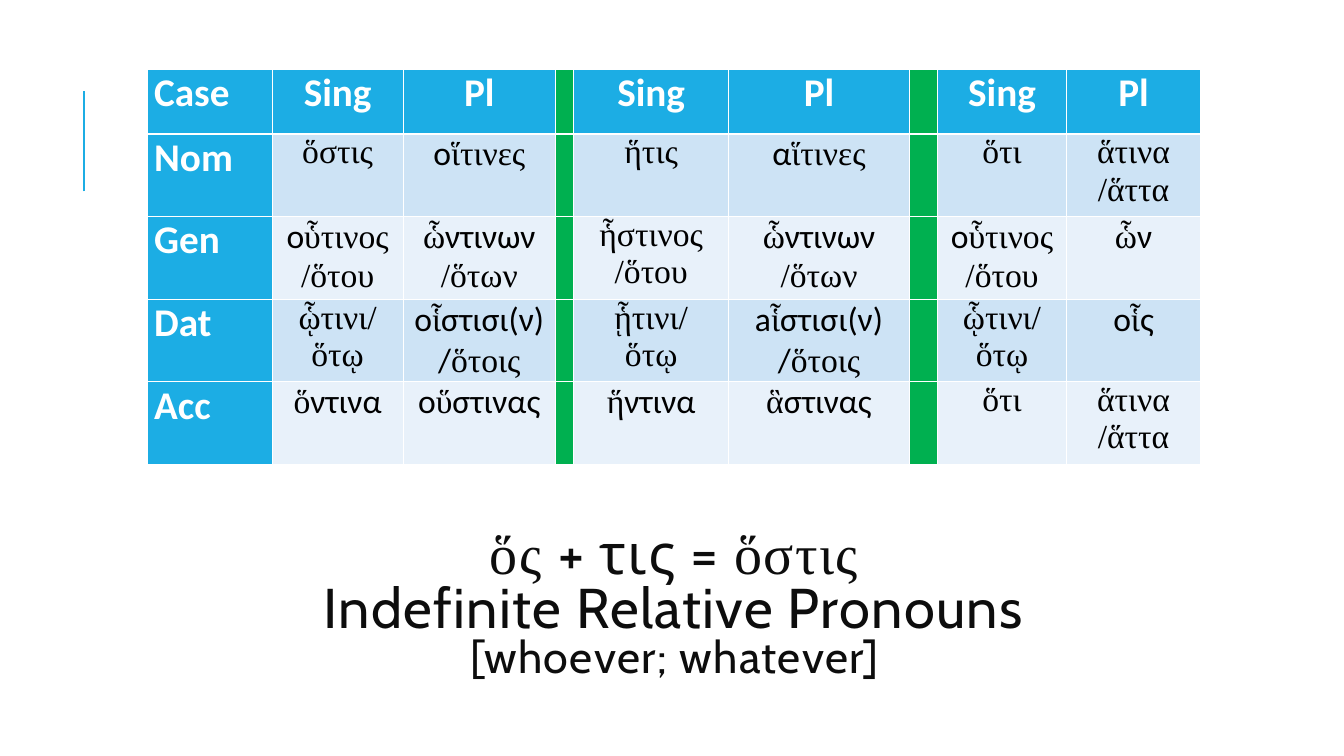
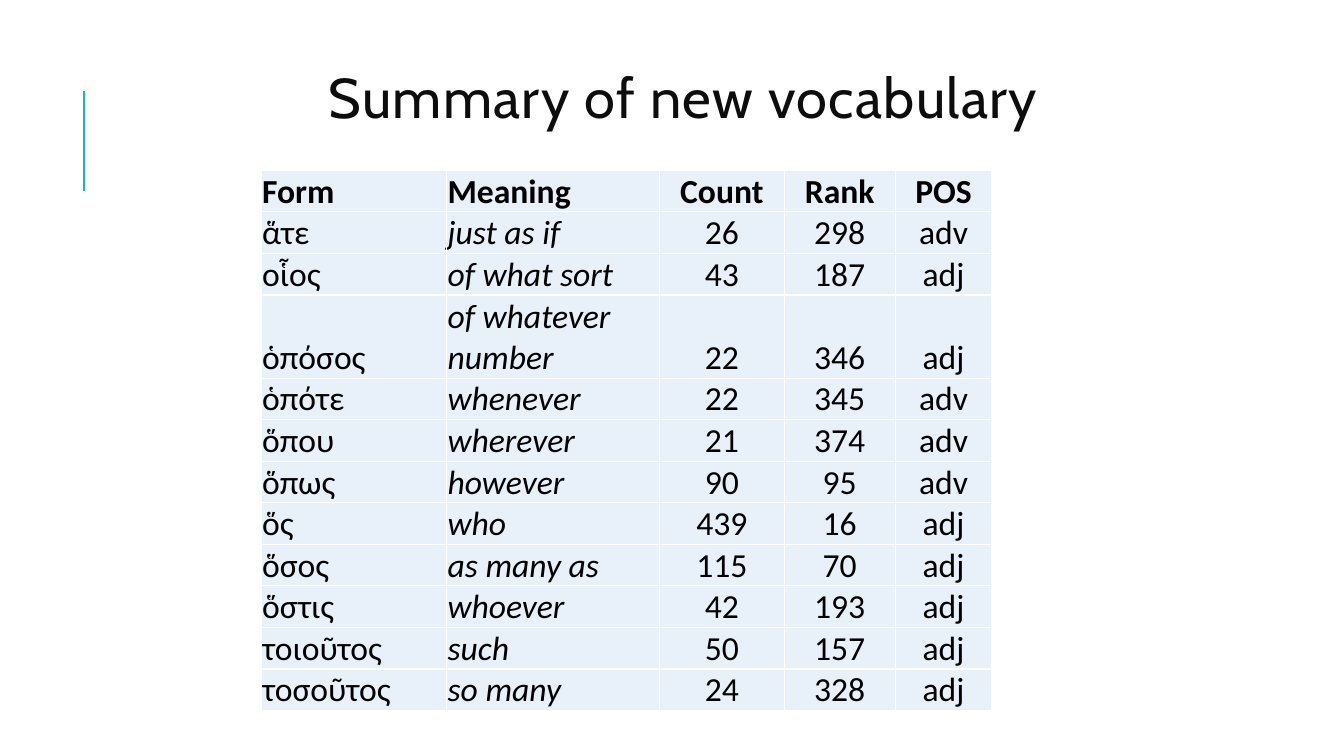
"""Build two slides on Greek indefinite relative pronouns and new vocabulary."""
from lxml.etree import SubElement
from pptx import Presentation
from pptx.dml.color import RGBColor
from pptx.enum.shapes import MSO_CONNECTOR as Connector
from pptx.enum.text import MSO_ANCHOR as Anchor, PP_ALIGN as Align
from pptx.oxml.ns import qn
from pptx.util import Inches, Pt

COLORS = {"accent": "1CADE4", "divider": "00B050", "band": "CDE3F5", "pale": "E8F1FA",
          "title": "0D0D0D", "text": "000000", "white": "FFFFFF"}
GREEK, BODY, HEADING = "Times New Roman", "Calibri", "Cabin"

deck = Presentation()
deck.slide_width, deck.slide_height = Inches(13.33), Inches(7.5)
COLUMN, ROW = deck.slide_width / 100, deck.slide_height / 100


def write(para, text, fonts=(BODY, BODY), size=24, color="text", bold=False,
          italic=False, align=Align.CENTER, spacing=0):
    """Add text to a paragraph, switching between the two fonts at each bar."""
    para.alignment = align
    for index, piece in enumerate(text.split("|")):
        for number, line in enumerate(piece.split("\n")):
            if number:
                para.add_line_break()
            if not line:
                continue
            span = para.add_run()
            span.text = line
            span.font.name, span.font.size = fonts[index % 2], Pt(size)
            span.font.bold, span.font.italic = bold, italic
            span.font.color.rgb = RGBColor.from_string(COLORS[color])
            if spacing:
                span._r.get_or_add_rPr().set("spc", str(spacing))


def add_page(title_area, title_parts, corner, widths, heights, insets, anchor):
    """Add a page with its accent line and title, and return its empty table."""
    page = deck.slides.add_slide(deck.slide_layouts[6])
    accent = page.shapes.add_connector(Connector.STRAIGHT, int(6.23 * COLUMN), int(25.33 * ROW),
                                       int(6.23 * COLUMN), int(12 * ROW))
    accent.line.color.rgb = RGBColor.from_string(COLORS["accent"])
    accent.line.width = Pt(1.5)
    SubElement(accent._element.spPr, qn("a:effectLst"))

    left, top, width, height = title_area
    box = page.shapes.add_textbox(int(left * COLUMN), int(top * ROW),
                                  int(width * COLUMN), int(height * ROW))
    box.text_frame.word_wrap = True
    box.text_frame.vertical_anchor = Anchor.MIDDLE
    para = box.text_frame.paragraphs[0]
    para.line_spacing = 0.8
    for text, size in title_parts:
        write(para, text, fonts=(GREEK, HEADING), size=size, color="title", spacing=100)

    table = page.shapes.add_table(len(heights), len(widths), int(corner[0] * COLUMN),
                                  int(corner[1] * ROW), int(sum(widths) * COLUMN),
                                  int(sum(heights) * ROW)).table
    table.horz_banding = False
    for column, share in zip(table.columns, widths):
        column.width = int(share * COLUMN)
    for row, share in zip(table.rows, heights):
        row.height = int(share * ROW)
    for cell in table.iter_cells():
        cell.margin_left = cell.margin_right = Inches(insets[0])
        cell.margin_top, cell.margin_bottom = Inches(insets[1]), 0
        cell.vertical_anchor = anchor
        cell.fill.solid()
    return table


pronouns = [
    ["Case", "Sing", "Pl", "", "Sing", "Pl", "", "Sing", "Pl"],
    ["Nom", "ὅστις", "|ο|ἵτινες", "", "ἥτις", "|α|ἵτινες", "", "ὅτι", "ἅτινα\n/ἅττα"],
    ["Gen", "|ο|ὗτινος\n/ὅτου", "ὧ|ντινων\n|/ὅτων", "", "ἧστινος\n/ὅτου",
     "ὧ|ντινων\n|/ὅτων", "", "|ο|ὗτινος\n/ὅτου", "ὧ|ν"],
    ["Dat", "ᾧτινι/\nὅτῳ", "|ο|ἷ|στισι(ν)\n/|ὅτοις", "", "ᾗτινι/\nὅτῳ",
     "|a|ἷ|στισι(ν)\n/|ὅτοις", "", "ᾧτινι/\nὅτῳ", "|ο|ἷ|ς"],
    ["Acc", "ὅ|ντινα", "|ο|ὕ|στινας", "", "ἥ|ντινα", "ἃ|στινας", "", "ὅτι", "ἅτινα\n/ἅττα"],
]
table = add_page(
    title_area=(16.28, 66.8, 67.82, 26.93),
    title_parts=[("ὅς |+ τις = |ὅστις\n|Indefinite Relative Pronouns\n", 40),
                 ("|[whoever; whatever]", 32)],
    corner=(10.95, 9.2), widths=[9.3, 9.75, 11.33, 1.35, 11.55, 13.43, 2.1, 9.6, 9.98],
    heights=[8.53] + [10.93] * 4, insets=(0.07, 0), anchor=Anchor.TOP)
table.first_col = True
for r, forms in enumerate(pronouns):
    for c, form in enumerate(forms):
        cell = table.cell(r, c)
        heading = r == 0 or c == 0
        fill = ("divider" if not form else "accent" if heading
                else "band" if r % 2 else "pale")
        cell.fill.fore_color.rgb = RGBColor.from_string(COLORS[fill])
        para = cell.text_frame.paragraphs[0]
        if heading:
            write(para, form, size=28, color="white", bold=True,
                  align=Align.CENTER if c else Align.LEFT)
        else:
            write(para, form, fonts=(GREEK, BODY))

vocabulary = [
    ("Form", "Meaning", "Count", "Rank", "POS"),
    ("ἅτε", "just as if", "26", "298", "adv"),
    ("οἷος", "of what sort", "43", "187", "adj"),
    ("ὁπόσος", "of whatever number", "22", "346", "adj"),
    ("ὁπότε", "whenever", "22", "345", "adv"),
    ("ὅπου", "wherever", "21", "374", "adv"),
    ("ὅπως", "however", "90", "95", "adv"),
    ("ὅς", "who", "439", "16", "adj"),
    ("ὅσος", "as many as", "115", "70", "adj"),
    ("ὅστις", "whoever", "42", "193", "adj"),
    ("τοιοῦτος", "such", "50", "157", "adj"),
    ("τοσοῦτος", "so many", "24", "328", "adj"),
]
table = add_page(
    title_area=(8.4, 8.13, 84.92, 10.8), title_parts=[("|Summary of new vocabulary", 40)],
    corner=(19.43, 22.53), widths=[13.8, 15.83, 9.3, 8.25, 7.2],
    heights=[5.5] * 3 + [11] + [5.5] * 8, insets=(0.01, 0.01), anchor=Anchor.BOTTOM)
table.first_row = False
for r, entry in enumerate(vocabulary):
    for c, text in enumerate(entry):
        cell = table.cell(r, c)
        cell.fill.fore_color.rgb = RGBColor.from_string(COLORS["pale"])
        write(cell.text_frame.paragraphs[0], text, bold=r == 0, italic=r > 0 and c == 1,
              align=Align.LEFT if c < 2 else Align.CENTER)

deck.save("out.pptx")
